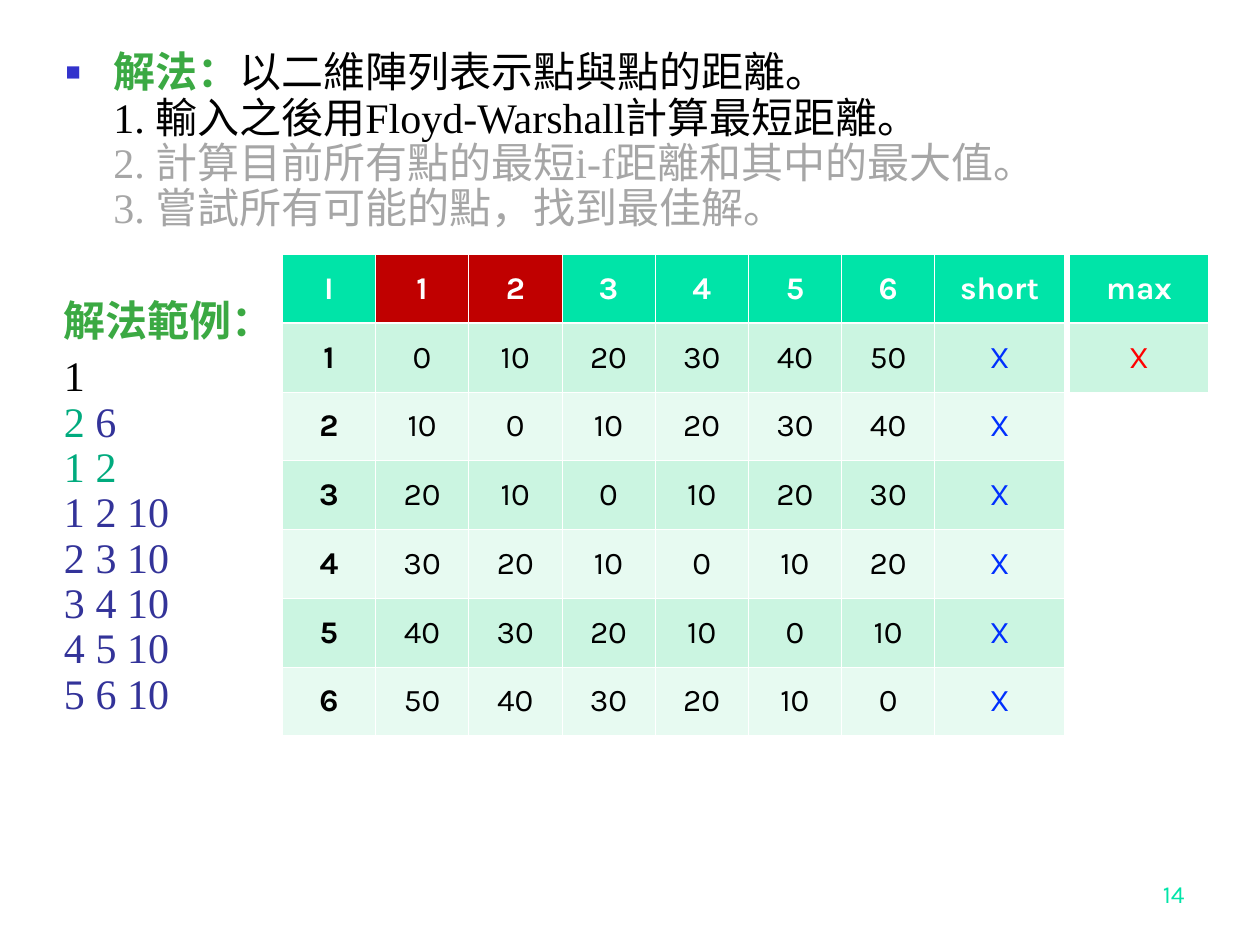
from lxml.etree import SubElement
from pptx import Presentation
from pptx.dml.color import RGBColor
from pptx.enum.text import MSO_ANCHOR as ANCHOR, MSO_AUTO_SIZE as FIT, PP_ALIGN as ALIGN
from pptx.oxml.ns import qn
from pptx.util import Inches, Pt

GREEN, BLACK, GREY, NAVY, TEAL = "3BA943", "000000", "A6A6A6", "333399", "00AB7E"
HEADER, CHOSEN, BANDS = "00E4A8", "C00000", ("E7FAF1", "CBF5E1")
WHITE, BLUE, RED = "FFFFFF", "0030FE", "FF0000"
SERIF, SANS = "Times New Roman", "Karla"


def rgb(value):
    return RGBColor.from_string(value)


class Deck:
    """Holds the style and the current slide, with one method per element."""

    def __init__(self):
        self.prs = Presentation()
        self.prs.slide_width, self.prs.slide_height = Inches(10), Inches(7.5)
        self.s = self.prs.slides.add_slide(self.prs.slide_layouts[1])
        title = self.s.shapes.title
        title.element.getparent().remove(title.element)

    def run(self, p, text, color, bold=False, size=24, font=SERIF):
        for i, line in enumerate(text.split("\n")):
            if i:
                p.add_line_break()
            if line:
                r = p.add_run()
                r.text = line
                r.font.name, r.font.size, r.font.bold = font, Pt(size), bold
                r.font.color.rgb = rgb(color)

    def fill_text(self, tf, paragraphs, anchor=ANCHOR.TOP):
        tf.word_wrap, tf.auto_size, tf.vertical_anchor = True, FIT.NONE, anchor
        for i, runs in enumerate(paragraphs):
            p = tf.add_paragraph() if i else tf.paragraphs[0]
            p.line_spacing, p.space_before = 0.9, Pt(6 if i else 0)
            for run in runs:
                self.run(p, *run)

    def body(self, box, runs):
        sp = self.s.placeholders[1]
        sp.left, sp.top, sp.width, sp.height = map(Inches, box)
        pPr = sp.text_frame.paragraphs[0]._p.get_or_add_pPr()
        pPr.set("marL", str(Inches(0.38)))
        pPr.set("indent", str(-Inches(0.38)))
        SubElement(SubElement(pPr, qn("a:buClr")), qn("a:srgbClr"), val="3333CC")
        SubElement(pPr, qn("a:buSzPct"), val="60000")
        SubElement(pPr, qn("a:buChar"), char="■")
        self.fill_text(sp.text_frame, [runs])

    def text(self, box, paragraphs):
        sp = self.s.shapes.add_textbox(*map(Inches, box))
        self.fill_text(sp.text_frame, paragraphs)

    def number(self, box, text):
        tf = self.s.shapes.add_textbox(*map(Inches, box)).text_frame
        tf.word_wrap, tf.vertical_anchor = True, ANCHOR.BOTTOM
        p = tf.paragraphs[0]
        p.alignment = ALIGN.RIGHT
        self.run(p, text, HEADER, size=14, font=SANS)

    def border(self, cell, row):
        tcPr = cell._tc.get_or_add_tcPr()
        thick = {0: "lnB", 1: "lnT"}.get(row)
        for side in ("lnL", "lnR", "lnT", "lnB"):
            width = Pt(1.47 if side == thick else 0.45)
            ln = SubElement(tcPr, qn(f"a:{side}"), w=str(width))
            SubElement(SubElement(ln, qn("a:solidFill")), qn("a:srgbClr"), val=WHITE)

    def cell(self, cell, row, text, color, fill, bold):
        self.border(cell, row)
        cell.fill.solid()
        cell.fill.fore_color.rgb = rgb(fill)
        cell.vertical_anchor = ANCHOR.MIDDLE
        p = cell.text_frame.paragraphs[0]
        p.alignment = ALIGN.CENTER
        self.run(p, text, color, bold, 18, SANS)

    def table(self, left, top, widths, rows, mark, chosen=(), row_header=False):
        height = 0.546
        frame = self.s.shapes.add_table(len(rows), len(widths), Inches(left), Inches(top),
                                        Inches(sum(widths)), Inches(height * len(rows)))
        table = frame.table
        for column, width in zip(table.columns, widths):
            column.width = Inches(width)
        for i, row in enumerate(rows):
            table.rows[i].height = Inches(height)
            for j, text in enumerate(row):
                if i == 0:
                    color, fill = WHITE, CHOSEN if j in chosen else HEADER
                else:
                    color, fill = mark if text == "X" else BLACK, BANDS[i % 2]
                bold = i == 0 or (row_header and j == 0)
                self.cell(table.cell(i, j), i, text, color, fill, bold)


def main():
    deck = Deck()
    deck.body((0.42, 0.36, 8.83, 1.65), [
        ("解法：", GREEN, True),
        ("以二維陣列表示點與點的距離。\n1. 輸入之後用Floyd-Warshall計算最短距離。\n", BLACK),
        ("2. 計算目前所有點的最短i-f距離和其中的最大值。\n3. 嘗試所有可能的點，找到最佳解。", GREY),
    ])

    points = range(1, 7)
    distances = [["I", *map(str, points), "short"]]
    for a in points:
        distances.append([str(a), *(str(10 * abs(a - b)) for b in points), "X"])
    deck.table(8.49, 2.02, [1.1], [["max"], ["X"]], RED)
    deck.table(2.24, 2.02, [0.74] * 7 + [1.03], distances, BLUE, (1, 2), True)

    deck.text((0.41, 2.33, 2.76, 3.42), [
        [("解法範例：", GREEN, True)],
        [("1\n", BLACK), ("2 ", TEAL), ("6\n", NAVY), ("1 2\n", TEAL),
         ("1 2 10\n2 3 10\n3 4 10\n4 5 10\n5 6 10", NAVY)],
    ])
    deck.number((7.42, 6.76, 2.08, 0.5), "14")
    deck.prs.save("out.pptx")


if __name__ == "__main__":
    main()
